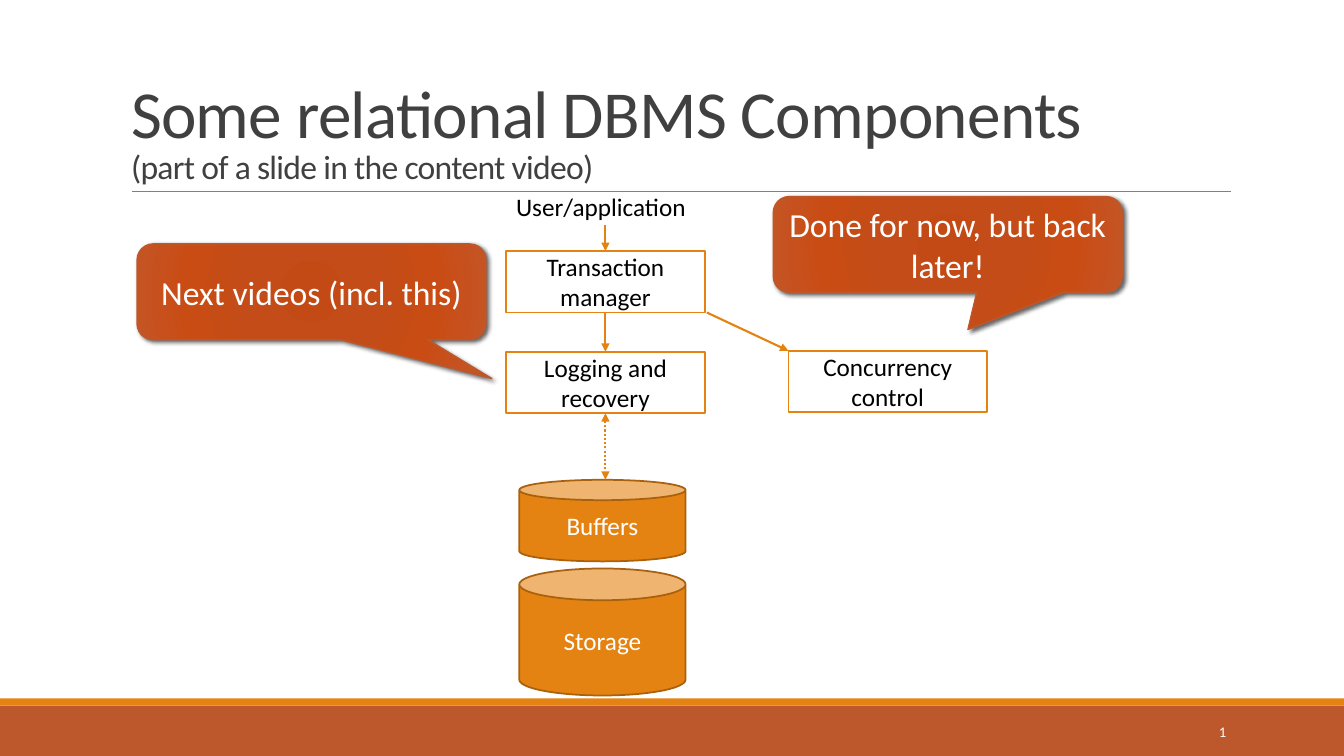
from lxml import etree
from pptx import Presentation
from pptx.dml.color import RGBColor
from pptx.enum.dml import MSO_LINE
from pptx.enum.shapes import MSO_CONNECTOR, MSO_SHAPE
from pptx.enum.text import MSO_ANCHOR, MSO_AUTO_SIZE, PP_ALIGN
from pptx.oxml import parse_xml
from pptx.oxml.ns import nsdecls, qn
from pptx.util import Inches, Pt

RECT, CAN = MSO_SHAPE.RECTANGLE, MSO_SHAPE.CAN
CALLOUT = MSO_SHAPE.ROUNDED_RECTANGULAR_CALLOUT
STRAIGHT, DOTTED = MSO_CONNECTOR.STRAIGHT, MSO_LINE.ROUND_DOT
LEFT, CENTER, RIGHT = PP_ALIGN.LEFT, PP_ALIGN.CENTER, PP_ALIGN.RIGHT
MIDDLE, BOTTOM = MSO_ANCHOR.MIDDLE, MSO_ANCHOR.BOTTOM
TOP_SIDE, BOTTOM_SIDE = 0, 2

BLACK = RGBColor(0, 0, 0)
WHITE = RGBColor(255, 255, 255)
DARK = RGBColor(0x40, 0x40, 0x40)
GRAY = RGBColor(0x80, 0x80, 0x80)
ORANGE = RGBColor(0xE4, 0x83, 0x12)
BROWN = RGBColor(0xA9, 0x61, 0x0D)
RUST = RGBColor(0xBD, 0x58, 0x2C)
GLOW = ((0, "C44A15"), (34, "C34C18"), (70, "C94C15"), (100, "C45525"))


def style(font, size, color):
    looks = {"name": "Calibri", "size": Pt(size)}
    for name, value in looks.items():
        setattr(font, name, value)
    font.color.rgb = color


def write(shape, text, size, color, align=CENTER):
    frame = shape.text_frame
    frame.word_wrap = True
    frame.vertical_anchor = MIDDLE
    para = frame.paragraphs[0]
    para.alignment = align
    run = para.add_run()
    run.text = text
    style(run.font, size, color)


def add_block(slide, kind, box, fill, line=None, width=1.25):
    shape = slide.shapes.add_shape(kind, *map(Inches, box))
    shape.shadow.inherit = False
    shape.fill.solid()
    shape.fill.fore_color.rgb = fill
    if line is None:
        shape.line.fill.background()
    else:
        shape.line.color.rgb = line
        shape.line.width = Pt(width)
    return shape


def add_node(slide, box, text):
    node = add_block(slide, RECT, box, WHITE, ORANGE)
    write(node, text, 18, BLACK)
    return node


def add_can(slide, box, text):
    write(add_block(slide, CAN, box, ORANGE, BROWN), text, 18, WHITE)


def add_line(slide, start, end, color, width):
    line = slide.shapes.add_connector(STRAIGHT, *map(Inches, start + end))
    line.line.color.rgb = color
    line.line.width = Pt(width)
    etree.SubElement(line._element.spPr, qn("a:effectLst"))
    return line


def add_arrow(slide, start, end, ends=("tailEnd",)):
    arrow = add_line(slide, start, end, ORANGE, 1.5)
    if len(ends) > 1:
        arrow.line.dash_style = DOTTED
    for name in ends:
        etree.SubElement(arrow.line._get_or_add_ln(), qn("a:" + name), type="triangle")
    return arrow


def add_callout(slide, box, tip, text):
    """Draw a glowing, shadowed bubble; tip is its pointer offset."""
    bubble = add_block(slide, CALLOUT, box, RUST, RUST, 1)
    for index, value in enumerate(tip + (0.167,)):
        bubble.adjustments[index] = value
    props = bubble._element.spPr
    stops = "".join(
        f'<a:gs pos="{pos * 1000}"><a:srgbClr val="{color}"/></a:gs>'
        for pos, color in GLOW)
    glow = parse_xml(
        f'<a:gradFill {nsdecls("a")} rotWithShape="1"><a:gsLst>{stops}</a:gsLst>'
        '<a:path path="circle"><a:fillToRect l="100000" t="100000" '
        'r="100000" b="100000"/></a:path></a:gradFill>')
    props.replace(props.find(qn("a:solidFill")), glow)
    props.find(qn("a:effectLst")).append(parse_xml(
        f'<a:outerShdw {nsdecls("a")} blurRad="{Pt(3)}" dist="{Pt(2)}" '
        'dir="2700000" rotWithShape="0"><a:srgbClr val="000000">'
        '<a:alpha val="60000"/></a:srgbClr></a:outerShdw>'))
    write(bubble, text, 24, WHITE)


def add_title(slide, box):
    title = slide.shapes.title
    for name, value in zip(("left", "top", "width", "height"), box):
        setattr(title, name, Inches(value))
    frame = title.text_frame
    looks = {"word_wrap": True, "auto_size": MSO_AUTO_SIZE.NONE,
             "vertical_anchor": BOTTOM}
    for name, value in looks.items():
        setattr(frame, name, value)
    para = frame.paragraphs[0]
    para.alignment = LEFT
    para.line_spacing = 0.85
    for text, size in (("Some relational DBMS Components", 48),
                       ("(part of a slide in the content video)", 24)):
        if para.runs:
            para.add_line_break()
        run = para.add_run()
        run.text = text
        style(run.font, size, DARK)
        run.font._element.set("spc", "-50")


def add_footer(slide, left, top, width):
    add_block(slide, RECT, (left, top + 0.07, width, 0.5), RUST)
    add_block(slide, RECT, (left, top, width, 0.07), ORANGE)
    number = slide.shapes.add_textbox(
        *map(Inches, (left + 10.83, top + 0.13, 1.43, 0.4)))
    write(number, "3", 10.5, WHITE, RIGHT)
    run = number.text_frame.paragraphs[0].runs[0]._r
    field = parse_xml(
        f'<a:fld {nsdecls("a")} type="slidenum" '
        'id="{B6F15528-21DE-4FAA-801E-634DDDAF4B2B}"/>')
    run.getparent().replace(run, field)
    field.extend(list(run))


def add_diagram(slide, left, top):
    """Place the components from the top left corner of the user label."""
    mid = left + 0.985
    size = (1.97, 0.61)
    manager = add_node(slide, (left, top + 0.64) + size, "Transaction manager")
    logging = add_node(slide, (left, top + 1.64) + size, "Logging and recovery")
    add_node(slide, (left + 2.8, top + 1.63) + size, "Concurrency control")
    add_can(slide, (left + 0.13, top + 3.79, 1.65, 1.26), "Storage")
    add_can(slide, (left + 0.13, top + 2.91, 1.65, 0.81), "Buffers")

    label = slide.shapes.add_textbox(*map(Inches, (left, top, 1.9, 0.4)))
    write(label, "User/application", 18, BLACK, LEFT)
    label.text_frame.word_wrap = False

    enter = add_arrow(slide, (mid, top + 0.38), (mid, top + 0.64))
    enter.end_connect(manager, TOP_SIDE)
    down = add_arrow(slide, (mid, top + 1.25), (mid, top + 1.64))
    down.begin_connect(manager, BOTTOM_SIDE)
    down.end_connect(logging, TOP_SIDE)
    add_arrow(slide, (left + 1.99, top + 1.25), (left + 2.8, top + 1.63))
    store = add_arrow(slide, (mid, top + 2.25), (mid, top + 2.91),
                      ("headEnd", "tailEnd"))
    store.begin_connect(logging, BOTTOM_SIDE)


def main():
    deck = Presentation()
    deck.slide_width, deck.slide_height = Inches(13.33), Inches(7.5)
    slide = deck.slides.add_slide(deck.slide_layouts[5])
    add_footer(slide, 0, 6.93, 13.33)
    add_line(slide, (1.31, 1.9), (12.21, 1.9), GRAY, 0.5)
    add_title(slide, (1.2, 0.31, 11, 1.59))
    add_diagram(slide, 5.02, 1.85)
    add_callout(slide, (7.67, 1.95, 3.46, 0.95), (0.058, 0.888),
                "Done for now, but back later!")
    add_callout(slide, (1.36, 2.42, 3.46, 0.95), (0.517, 0.906),
                "Next videos (incl. this)")
    deck.save("out.pptx")


if __name__ == "__main__":
    main()
